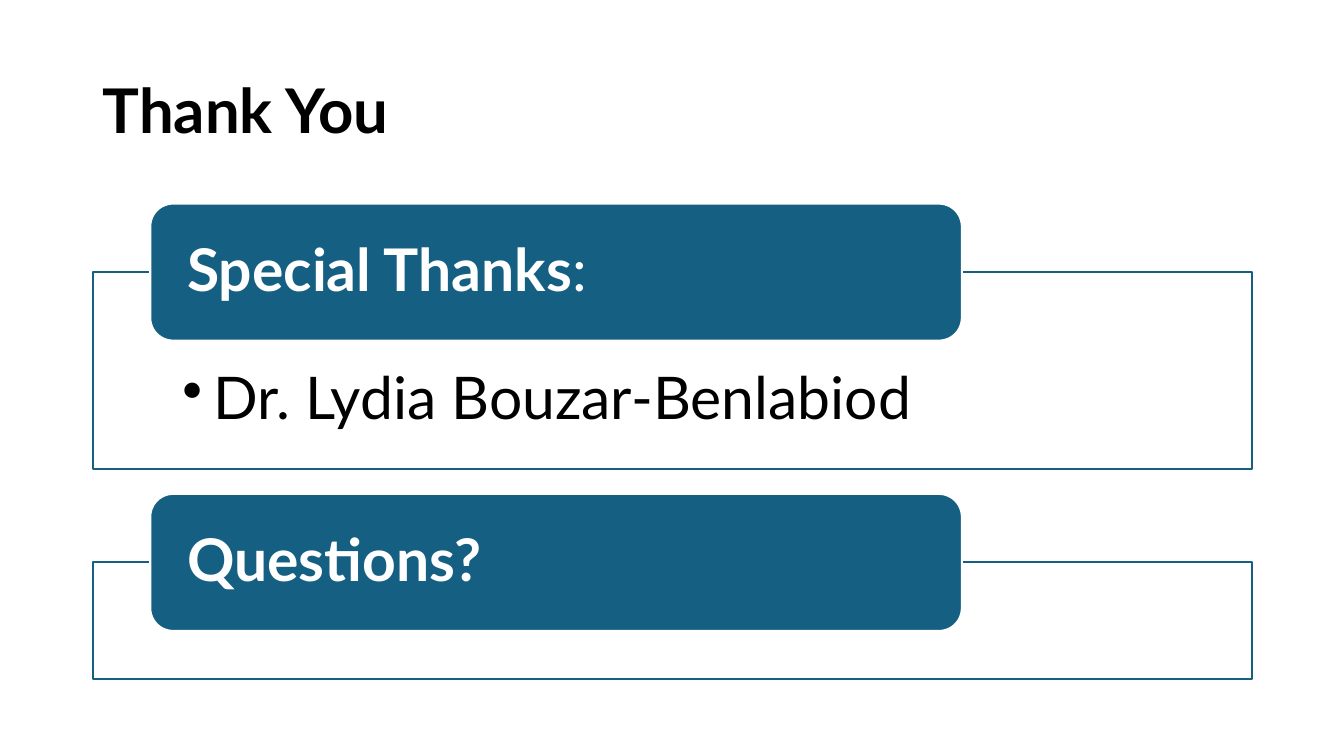
"""Build the closing slide with thanks and questions."""
import pptx
import pptx.util
import pptx.dml.color
import pptx.enum.shapes
import pptx.enum.text
import pptx.oxml.ns
import lxml.etree

Inches, Pt = pptx.util.Inches, pptx.util.Pt
SHAPES = pptx.enum.shapes.MSO_SHAPE
ANCHOR = pptx.enum.text.MSO_ANCHOR

TITLE = "Thank You"
SECTIONS = [
    {"heading": [("Special Thanks", True), (":", False)],
     "bullet": "Dr. Lydia Bouzar-Benlabiod", "top": 2.7, "height": 1.95},
    {"heading": [("Questions?", True)], "bullet": None, "top": 5.58, "height": 1.16},
]
COLORS = {"text": "000000", "accent": "156082", "white": "FFFFFF"}
FONT = "Lato"
LEFT, WIDTH = 0.92, 11.5
TAB_LEFT, TAB_WIDTH, TAB_HEIGHT = 1.49, 8.05, 1.36
TAB_RISE = TAB_HEIGHT / 2


def color(name):
    return pptx.dml.color.RGBColor.from_string(COLORS[name])


def write(shape, runs, size, color_name, anchor, insets, bullet=False):
    frame = shape.text_frame
    frame.word_wrap = True
    frame.vertical_anchor = anchor
    (frame.margin_left, frame.margin_top,
     frame.margin_right, frame.margin_bottom) = map(Inches, insets)
    paragraph = frame.paragraphs[0]
    paragraph.alignment = pptx.enum.text.PP_ALIGN.LEFT
    paragraph.line_spacing = 0.9
    if bullet:
        properties = paragraph._p.get_or_add_pPr()
        properties.set("marL", str(Inches(0.31)))
        properties.set("indent", str(-Inches(0.31)))
        mark = lxml.etree.SubElement(properties, pptx.oxml.ns.qn("a:buChar"))
        mark.set("char", "•")
    for text, bold in runs:
        run = paragraph.add_run()
        run.text = text
        run.font.name = FONT
        run.font.size = Pt(size)
        run.font.bold = bold
        run.font.color.rgb = color(color_name)


def add_box(slide, kind, position, fill, line):
    shape = slide.shapes.add_shape(kind, *map(Inches, position))
    shape.shadow.inherit = False
    shape.fill.solid()
    shape.fill.fore_color.rgb = color(fill)
    shape.line.color.rgb = color(line)
    shape.line.width = Pt(1.5)
    return shape


def main():
    presentation = pptx.Presentation()
    presentation.slide_width = Inches(13.33)
    presentation.slide_height = Inches(7.5)
    slide = presentation.slides.add_slide(presentation.slide_layouts[6])

    title = slide.shapes.add_textbox(*map(Inches, (LEFT, 0.4, WIDTH, 1.45)))
    write(title, [(TITLE, True)], 44, "text", ANCHOR.MIDDLE, (0.1, 0.05, 0.1, 0.05))

    for section in SECTIONS:
        top = section["top"]
        panel = add_box(slide, SHAPES.RECTANGLE,
                        (LEFT, top, WIDTH, section["height"]), "white", "accent")
        if section["bullet"]:
            write(panel, [(section["bullet"], False)], 42, "text", ANCHOR.TOP,
                  (0.89, 0.96, 0.89, 0.33), bullet=True)
        tab = add_box(slide, SHAPES.ROUNDED_RECTANGLE,
                      (TAB_LEFT, top - TAB_RISE, TAB_WIDTH, TAB_HEIGHT), "accent", "white")
        write(tab, section["heading"], 42, "white", ANCHOR.MIDDLE, (0.3, 0, 0.3, 0))

    presentation.save("out.pptx")


if __name__ == "__main__":
    main()
